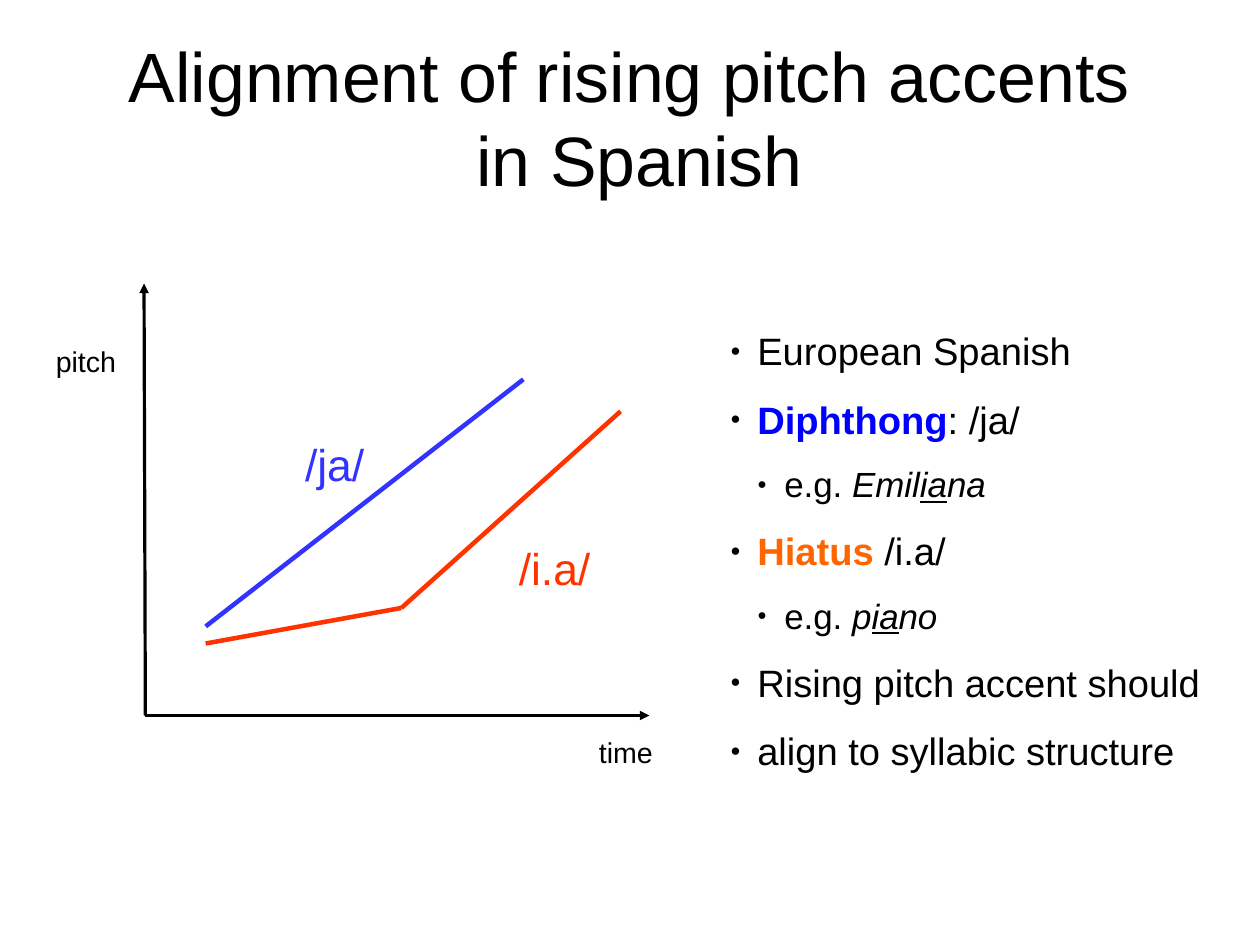
from lxml import etree
from pptx import Presentation
from pptx.dml.color import RGBColor
from pptx.enum.shapes import MSO_CONNECTOR
from pptx.enum.text import MSO_ANCHOR, MSO_AUTO_SIZE, PP_ALIGN
from pptx.oxml.ns import qn
from pptx.util import Cm, Pt

STRAIGHT = MSO_CONNECTOR.STRAIGHT
MIDDLE, TOP = MSO_ANCHOR.MIDDLE, MSO_ANCHOR.TOP
NO_FIT, GROW = MSO_AUTO_SIZE.NONE, MSO_AUTO_SIZE.SHAPE_TO_FIT_TEXT
CENTER = PP_ALIGN.CENTER

BLACK = RGBColor(0x00, 0x00, 0x00)
DIPHTHONG_LINE = RGBColor(0x33, 0x33, 0xFF)
HIATUS_LINE = RGBColor(0xFF, 0x33, 0x00)
DIPHTHONG_WORD = RGBColor(0x00, 0x00, 0xFF)
HIATUS_WORD = RGBColor(0xFF, 0x66, 0x00)

FONT = "Arial"
LEVEL_SIZES = (24, 22)
INDENT = 0.6
AXIS_WIDTH, CONTOUR_WIDTH = 0, 2.83
ITALIC = {"italic": True}
UNDERLINED = {"italic": True, "underline": True}

LABELS = [
    ("pitch", (0.99, 7.52, 1.85, 0.97), 18, BLACK),
    ("time", (13.06, 16.21, 1.7, 0.97), 18, BLACK),
    ("/ja/", (6.53, 9.58, 1.83, 1.35), 28, DIPHTHONG_LINE),
    ("/i.a/", (11.28, 11.89, 2.11, 1.35), 28, HIATUS_LINE),
]
ORIGIN = (3.23, 15.9)
AXIS_ENDS = [(3.2, 6.3), (14.43, 15.9)]
CONTOURS = [
    (DIPHTHONG_LINE, [(4.57, 13.92), (11.63, 8.43)]),
    (HIATUS_LINE, [(4.57, 14.3), (8.92, 13.51), (13.79, 9.14)]),
]
POINTS = [
    (0, [("European Spanish", {})]),
    (0, [("Diphthong", {"bold": True, "color": DIPHTHONG_WORD}), (": /ja/", {})]),
    (1, [("e.g. ", {}), ("Emil", ITALIC), ("ia", UNDERLINED), ("na", ITALIC)]),
    (0, [("Hiatus", {"bold": True, "color": HIATUS_WORD}), (" /i.a/", {})]),
    (1, [("e.g. ", {}), ("p", ITALIC), ("ia", UNDERLINED), ("no", ITALIC)]),
    (0, [("Rising pitch accent should", {})]),
    (0, [("align to syllabic structure", {})]),
]


def set_attributes(target, values):
    """Set every attribute named in a dict."""
    for name, value in values.items():
        setattr(target, name, value)


def format_font(font, size, color=BLACK, **styles):
    """Apply the slide's font with a size, a colour and styles."""
    set_attributes(font, {"name": FONT, "size": Pt(size), **styles})
    font.color.rgb = color


def add_text_box(slide, box):
    """Add an unwrapped text box that grows with its text."""
    text_frame = slide.shapes.add_textbox(*map(Cm, box)).text_frame
    set_attributes(text_frame, {"word_wrap": False, "auto_size": GROW, "vertical_anchor": TOP})
    return text_frame


def add_label(slide, text, box, size, color):
    """Add a one-line label to the diagram."""
    run = add_text_box(slide, box).paragraphs[0].add_run()
    run.text = text
    format_font(run.font, size, color)


def add_line(slide, start, end, color, width, arrow=False):
    """Draw a straight line, with an arrowhead at its end if wanted."""
    connector = slide.shapes.add_connector(STRAIGHT, *map(Cm, start + end))
    connector.line.color.rgb = color
    connector.line.width = Pt(width)
    if arrow:
        line = connector.line._get_or_add_ln()
        etree.SubElement(line, qn("a:tailEnd"), type="triangle")
    etree.SubElement(connector._element.spPr, qn("a:effectLst"))


def add_bullet(paragraph, level):
    """Give a paragraph a small round bullet with a hanging indent."""
    properties = paragraph._p.get_or_add_pPr()
    properties.set("marL", str(Cm(INDENT * (level + 1))))
    properties.set("indent", str(-Cm(INDENT)))
    bullet_color = etree.SubElement(properties, qn("a:buClr"))
    etree.SubElement(bullet_color, qn("a:srgbClr"), val=str(BLACK))
    etree.SubElement(properties, qn("a:buSzPct"), val="45000")
    etree.SubElement(properties, qn("a:buFont"), typeface=FONT)
    etree.SubElement(properties, qn("a:buChar"), char="●")


def add_points(slide, box):
    """Add the bulleted list."""
    text_frame = add_text_box(slide, box)
    for index, (level, runs) in enumerate(POINTS):
        paragraph = text_frame.add_paragraph() if index else text_frame.paragraphs[0]
        add_bullet(paragraph, level)
        set_attributes(paragraph, {"level": level, "line_spacing": 1.5})
        for text, styles in runs:
            run = paragraph.add_run()
            run.text = text
            format_font(run.font, LEVEL_SIZES[level], **styles)


def format_title(title, text, box):
    """Place and fill the title placeholder."""
    set_attributes(title, dict(zip(("left", "top", "width", "height"), map(Cm, box))))
    margins = dict.fromkeys(("margin_left", "margin_top", "margin_right", "margin_bottom"), 0)
    set_attributes(title.text_frame, {
        "text": text, "word_wrap": True, "auto_size": NO_FIT, "vertical_anchor": MIDDLE, **margins})
    paragraph = title.text_frame.paragraphs[0]
    paragraph.alignment = CENTER
    for run in paragraph.runs:
        format_font(run.font, 44)


def main():
    """Build the slide and save it."""
    presentation = Presentation()
    set_attributes(presentation, {"slide_width": Cm(28), "slide_height": Cm(21)})
    slide = presentation.slides.add_slide(presentation.slide_layouts[5])
    format_title(slide.shapes.title, "Alignment of rising pitch accents\v in Spanish",
                 (1.4, 0.84, 25.2, 3.51))
    for end in AXIS_ENDS:
        add_line(slide, ORIGIN, end, BLACK, AXIS_WIDTH, arrow=True)
    for color, points in CONTOURS:
        for start, end in zip(points, points[1:]):
            add_line(slide, start, end, color, CONTOUR_WIDTH)
    for label in LABELS:
        add_label(slide, *label)
    add_points(slide, (15.98, 6.65, 10.95, 9.93))
    presentation.save("out.pptx")


if __name__ == "__main__":
    main()
